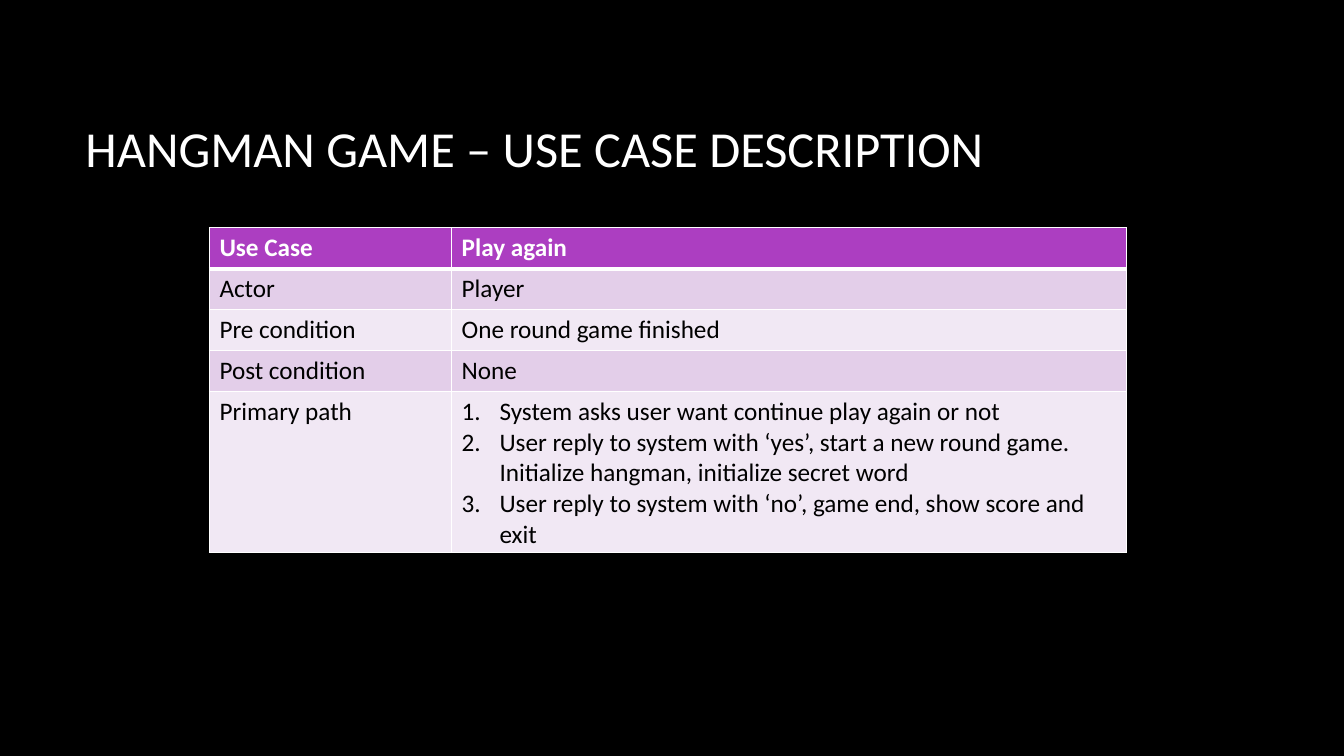
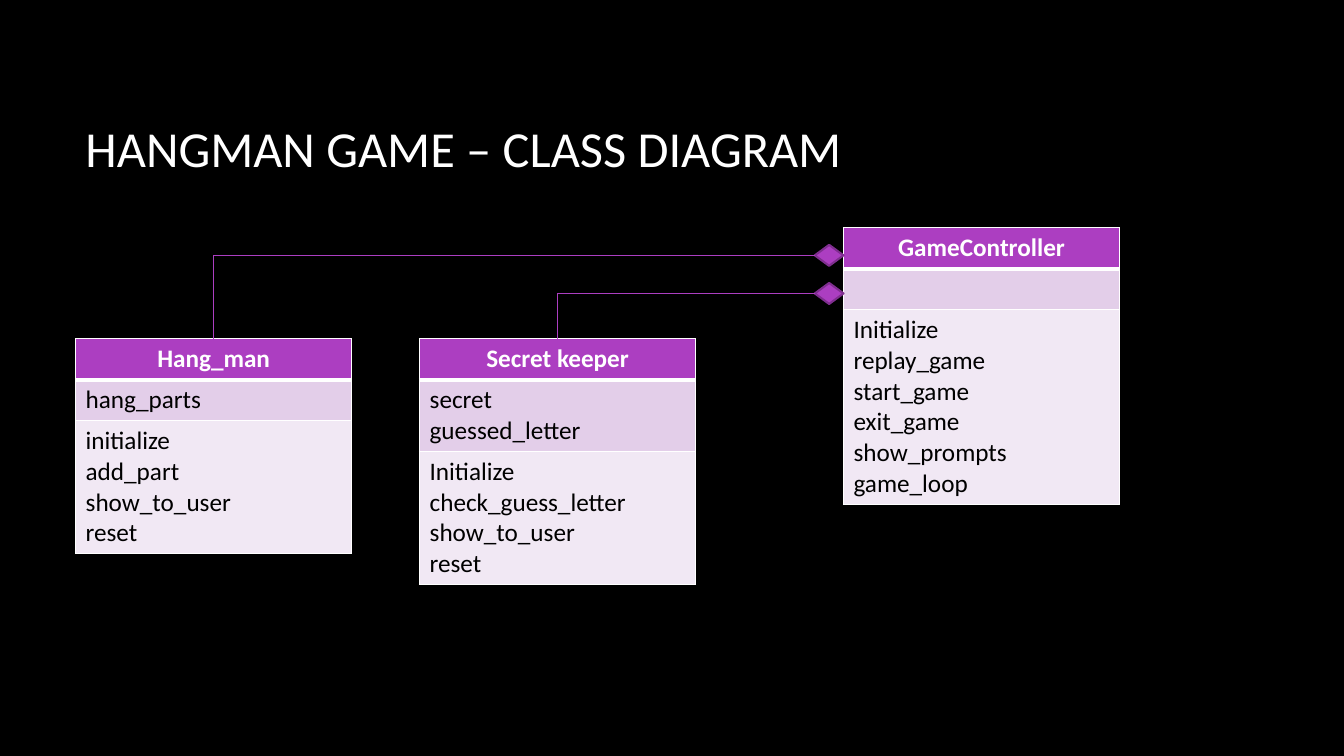
from lxml import etree
from pptx import Presentation
from pptx.dml.color import RGBColor
from pptx.enum.shapes import MSO_CONNECTOR, MSO_SHAPE
from pptx.enum.text import MSO_ANCHOR, PP_ALIGN
from pptx.oxml.ns import qn
from pptx.util import Pt

ELBOW = MSO_CONNECTOR.ELBOW
DECISION = MSO_SHAPE.FLOWCHART_DECISION
MIDDLE = MSO_ANCHOR.MIDDLE
CENTER = PP_ALIGN.CENTER
LEFT = PP_ALIGN.LEFT

FONT = "Calibri"
BLACK, WHITE = "000000", "FFFFFF"
PURPLE, DARK_PURPLE = "AC3EC1", "7F2E8F"
BANDS = ("F1E8F4", "E3CEE9")
LINE_HEIGHT, CELL_PADDING = 22, 7.2
NUMBER_INDENT = 27
CONTENT_TOP = 162.7
CLASS_WIDTH = 197.3
CLASS_TOP = 242
DIAMOND_WIDTH, DIAMOND_HEIGHT = 20.5, 15


def color(value):
    return RGBColor.from_string(value)


class Deck:
    def __init__(self):
        self.presentation = Presentation()
        self.presentation.slide_width = Pt(960)
        self.presentation.slide_height = Pt(540)
        self.slide = None

    def add_slide(self, title):
        layout = self.presentation.slide_layouts[6]
        self.slide = self.presentation.slides.add_slide(layout)
        background = self.slide.background.fill
        background.solid()
        background.fore_color.rgb = color(BLACK)
        box = self.slide.shapes.add_textbox(Pt(54), Pt(48), Pt(798), Pt(114.5))
        frame = box.text_frame
        frame.word_wrap = True
        frame.vertical_anchor = MIDDLE
        self.add_run(frame.paragraphs[0], title, 36, WHITE)

    def add_run(self, paragraph, text, size, text_color, bold=False):
        run = paragraph.add_run()
        run.text = text
        run.font.name = FONT
        run.font.size = Pt(size)
        run.font.bold = bold
        run.font.color.rgb = color(text_color)

    def number(self, paragraph):
        properties = paragraph._p.get_or_add_pPr()
        properties.set("marL", str(Pt(NUMBER_INDENT)))
        properties.set("indent", str(-Pt(NUMBER_INDENT)))
        etree.SubElement(properties, qn("a:buFont"), typeface=FONT)
        etree.SubElement(properties, qn("a:buAutoNum"), type="arabicPeriod")

    def border(self, cell, row_index):
        properties = cell._tc.get_or_add_tcPr()
        widths = {"L": 1, "R": 1,
                  "T": 3 if row_index == 1 else 1,
                  "B": 3 if row_index == 0 else 1}
        for side, width in widths.items():
            line = etree.SubElement(properties, qn("a:ln" + side), w=str(Pt(width)))
            fill = etree.SubElement(line, qn("a:solidFill"))
            etree.SubElement(fill, qn("a:srgbClr"), val=WHITE)

    def fill_cell(self, cell, lines, row_index, header_alignment):
        header = row_index == 0
        self.border(cell, row_index)
        cell.fill.solid()
        cell.fill.fore_color.rgb = color(PURPLE if header else BANDS[row_index % 2])
        frame = cell.text_frame
        for index, text in enumerate(lines):
            paragraph = frame.add_paragraph() if index else frame.paragraphs[0]
            paragraph.alignment = header_alignment if header else LEFT
            self.add_run(paragraph, text, 18, WHITE if header else BLACK, header)

    def add_table(self, left, top, widths, rows, header_alignment=LEFT):
        heights = [max(1, *map(len, row)) * LINE_HEIGHT + CELL_PADDING if len(row) > 1
                   else max(1, len(row[0])) * LINE_HEIGHT + CELL_PADDING for row in rows]
        table = self.slide.shapes.add_table(
            len(rows), len(widths), Pt(left), Pt(top), Pt(sum(widths)), Pt(sum(heights))).table
        for column, width in zip(table.columns, widths):
            column.width = Pt(width)
        for row_index, row in enumerate(rows):
            table.rows[row_index].height = Pt(heights[row_index])
            for column_index, lines in enumerate(row):
                self.fill_cell(table.cell(row_index, column_index), lines,
                               row_index, header_alignment)
        return table

    def add_class(self, left, top, name, attributes, methods):
        rows = [[[name]], [attributes], [methods]]
        self.add_table(left, top, [CLASS_WIDTH], rows, CENTER)

    def add_composition(self, owner_left, middle, part_left):
        diamond_left = owner_left - DIAMOND_WIDTH
        diamond = self.slide.shapes.add_shape(
            DECISION, Pt(diamond_left), Pt(middle - DIAMOND_HEIGHT / 2),
            Pt(DIAMOND_WIDTH), Pt(DIAMOND_HEIGHT))
        diamond.shadow.inherit = False
        diamond.fill.solid()
        diamond.fill.fore_color.rgb = color(PURPLE)
        diamond.line.color.rgb = color(DARK_PURPLE)
        diamond.line.width = Pt(1.5)
        connector = self.slide.shapes.add_connector(
            ELBOW, Pt(diamond_left), Pt(middle),
            Pt(part_left + CLASS_WIDTH / 2), Pt(CLASS_TOP))
        connector.line.color.rgb = color(PURPLE)
        connector.line.width = Pt(0.75)
        properties = connector._element.spPr
        properties.find(qn("a:prstGeom")).set("prst", "bentConnector2")
        etree.SubElement(properties, qn("a:effectLst"))


def add_use_case(deck):
    deck.add_slide("HANGMAN GAME – USE CASE DESCRIPTION")
    steps = [
        "System asks user want continue play again or not",
        "User reply to system with ‘yes’, start a new round game. "
        "Initialize hangman, initialize secret word",
        "User reply to system with ‘no’, game end, show score and exit",
    ]
    rows = [
        [["Use Case"], ["Play again"]],
        [["Actor"], ["Player"]],
        [["Pre condition"], ["One round game finished"]],
        [["Post condition"], ["None"]],
        [["Primary path"], steps],
    ]
    table = deck.add_table(149.6, CONTENT_TOP, [173, 482], rows)
    for paragraph in table.cell(4, 1).text_frame.paragraphs:
        deck.number(paragraph)


def add_class_diagram(deck):
    deck.add_slide("HANGMAN GAME – CLASS DIAGRAM")
    hangman_left, keeper_left, controller_left = 54, 299.7, 602.5
    deck.add_class(hangman_left, CLASS_TOP, "Hang_man", ["hang_parts"],
                   ["initialize", "add_part", "show_to_user", "reset"])
    deck.add_class(keeper_left, CLASS_TOP, "Secret keeper", ["secret", "guessed_letter"],
                   ["Initialize", "check_guess_letter", "show_to_user", "reset"])
    deck.add_class(controller_left, CONTENT_TOP, "GameController", [],
                   ["Initialize", "replay_game", "start_game", "exit_game",
                    "show_prompts", "game_loop"])
    for middle, part_left in ((182.4, hangman_left), (209.6, keeper_left)):
        deck.add_composition(controller_left, middle, part_left)


def main():
    deck = Deck()
    add_use_case(deck)
    add_class_diagram(deck)
    deck.presentation.save("out.pptx")


if __name__ == "__main__":
    main()
